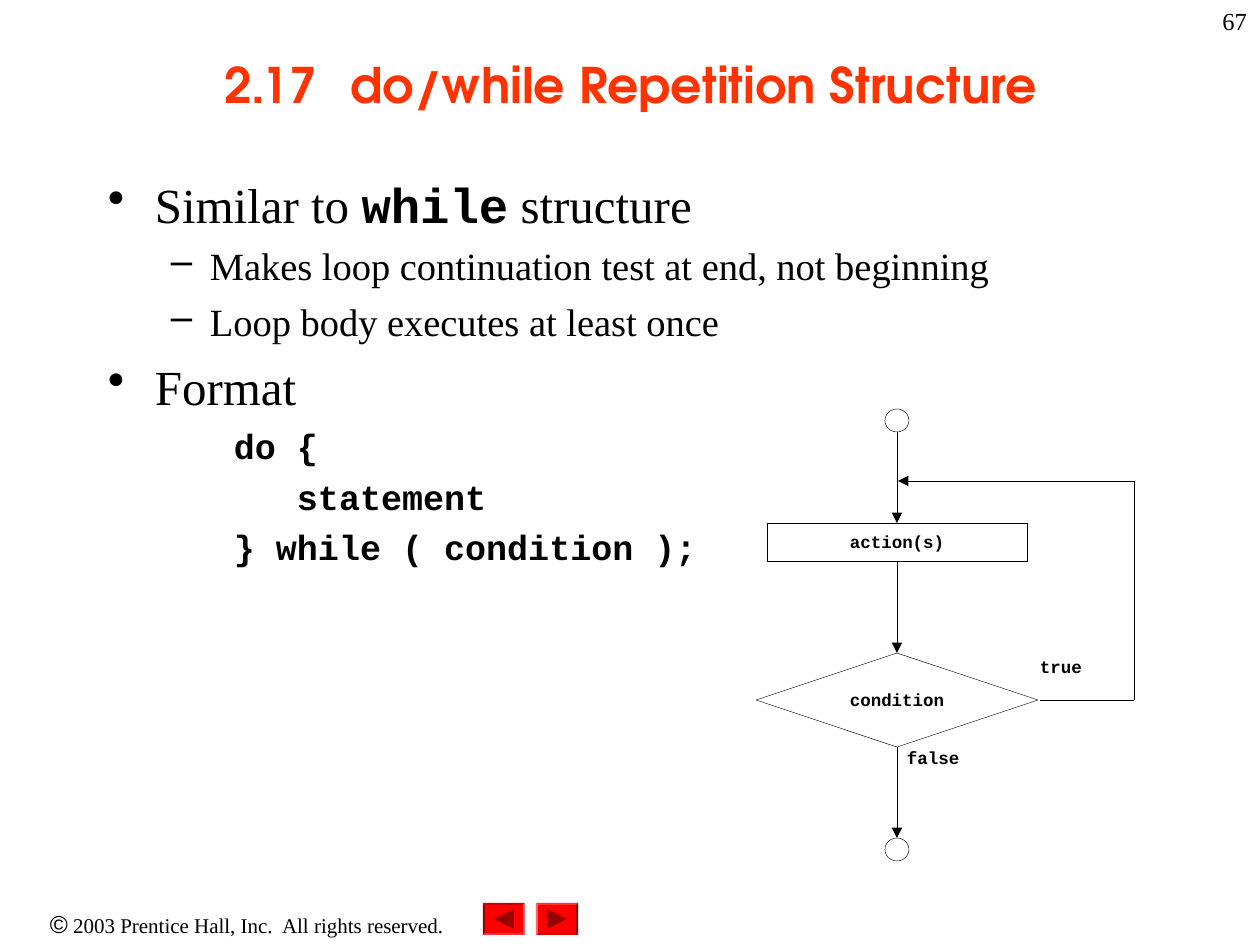
from lxml.etree import SubElement
from pptx import Presentation
from pptx.dml.color import RGBColor
from pptx.enum.shapes import MSO_CONNECTOR, MSO_SHAPE
from pptx.enum.text import MSO_ANCHOR, PP_ALIGN
from pptx.oxml.ns import qn
from pptx.util import Emu, Pt

SCALE = 914400 / 126  # EMU per px
INCH = 914400

BLACK = RGBColor(0x00, 0x00, 0x00)
WHITE = RGBColor(0xFF, 0xFF, 0xFF)
ORANGE = RGBColor(0xFF, 0x33, 0x00)
RED = RGBColor(0xFF, 0x00, 0x00)
DARK_RED = RGBColor(0x99, 0x00, 0x00)

SERIF, MONO, SANS = "Times New Roman", "Courier New", "Arial"
TITLE_FONT = "TeX Gyre Adventor"

# level: (left margin px, indent px, space before pt, bullet)
LEVELS = {
    0: (47, -47, 7, "•"),
    1: (102, -39, 5.5, "–"),
    2: (158, -32, 5, None),
}
BODY = [
    (0, [("Similar to ", 28, SERIF, False), ("while", 28, MONO, True),
         (" structure", 28, SERIF, False)]),
    (1, [("Makes loop continuation test at end, not beginning", 22, SERIF, False)]),
    (1, [("Loop body executes at least once", 22, SERIF, False)]),
    (0, [("Format", 28, SERIF, False)]),
    (2, [("do {", 20, MONO, True)]),
    (2, [("   statement", 20, MONO, True)]),
    (2, [("} while ( condition );", 20, MONO, True)]),
]


def px(n):
    return Emu(round(n * SCALE))


def add_run(p, text, size, font, bold=False, color=BLACK):
    r = p.add_run()
    r.text = text
    r.font.size, r.font.name, r.font.bold = Pt(size), font, bold
    r.font.color.rgb = color


def set_frame(tf, inset_x=0, inset_y=0, anchor=MSO_ANCHOR.TOP):
    tf.word_wrap = True
    tf.margin_left = tf.margin_right = px(inset_x)
    tf.margin_top = tf.margin_bottom = px(inset_y)
    tf.vertical_anchor = anchor


def add_text(s, box, runs, align=PP_ALIGN.LEFT, inset=(13, 6),
             anchor=MSO_ANCHOR.TOP):
    tf = s.shapes.add_textbox(*map(px, box)).text_frame
    set_frame(tf, *inset, anchor)
    p = tf.paragraphs[0]
    p.alignment = align
    for run in runs:
        add_run(p, *run)
    return p


def add_tabs(p, stops):
    tabs = SubElement(p._p.get_or_add_pPr(), qn("a:tabLst"))
    for stop in stops:
        SubElement(tabs, qn("a:tab"), pos=str(stop * INCH), algn="l")


def add_body(s):
    tf = s.shapes.add_textbox(*map(px, (95, 168, 1071, 725))).text_frame
    set_frame(tf, 13, 6)
    for i, (level, runs) in enumerate(BODY):
        p = tf.add_paragraph() if i else tf.paragraphs[0]
        margin, indent, before, bullet = LEVELS[level]
        p.level = level
        p.space_before = Pt(before if i else 0)
        pPr = p._p.get_or_add_pPr()
        pPr.set("marL", str(px(margin)))
        pPr.set("indent", str(px(indent)))
        if bullet:
            SubElement(pPr, qn("a:buChar"), char=bullet)
        else:
            SubElement(pPr, qn("a:buNone"))
        for run in runs:
            add_run(p, *run)


def add_shape(s, kind, box, fill=None, line=None):
    sp = s.shapes.add_shape(kind, *map(px, box))
    sp.shadow.inherit = False
    if fill is None:
        sp.fill.background()
    else:
        sp.fill.solid()
        sp.fill.fore_color.rgb = fill
    if line is None:
        sp.line.fill.background()
    else:
        sp.line.color.rgb = line
        sp.line.width = Pt(0.25)
    return sp


def add_node(s, kind, box, text=None, fill=None):
    sp = add_shape(s, kind, box, fill, BLACK)
    if text:
        tf = sp.text_frame
        set_frame(tf, anchor=MSO_ANCHOR.MIDDLE)
        p = tf.paragraphs[0]
        p.alignment = PP_ALIGN.CENTER
        add_run(p, text, 10, MONO, True)


def add_line(s, x1, y1, x2, y2, arrow=False):
    c = s.shapes.add_connector(MSO_CONNECTOR.STRAIGHT, *map(px, (x1, y1, x2, y2)))
    c.line.color.rgb = BLACK
    c.line.width = Pt(0.25)
    if arrow:
        SubElement(c.line._get_or_add_ln(), qn("a:tailEnd"), type="triangle")
    SubElement(c._element.spPr, qn("a:effectLst"))


def add_button(s, x, y, turn):
    bevel = add_shape(s, MSO_SHAPE.BEVEL, (x, y, 42, 32), RED)
    bevel.adjustments[0] = 0.06
    bevel.rotation = turn
    arrow = add_shape(s, MSO_SHAPE.ISOSCELES_TRIANGLE, (x + 11, y + 6, 20, 20), DARK_RED)
    arrow.rotation = 90 + turn


def add_flowchart(s):
    mid, right, loop_y, test_y = 897, 1134, 481, 700

    # Start and end, action and test
    for top in (409, 838):
        add_node(s, MSO_SHAPE.OVAL, (mid - 12, top, 24, 23))
    add_node(s, MSO_SHAPE.RECTANGLE, (mid - 130, 523, 260, 38), "action(s)")
    add_node(s, MSO_SHAPE.DIAMOND, (mid - 141, 653, 282, 94), "condition", WHITE)

    # Downward flow
    for top, bottom in ((432, 523), (561, 653), (747, 838)):
        add_line(s, mid, top, mid, bottom, arrow=True)

    # Loop back
    add_line(s, 1040, test_y, right, test_y)
    add_line(s, right, test_y, right, loop_y)
    add_line(s, right, loop_y, mid + 1, loop_y, arrow=True)

    # Branch labels
    for label, box in (("true", (1040, 656, 83, 45)), ("false", (907, 747, 102, 45))):
        add_text(s, box, [(label, 10, MONO, True)], inset=(0, 0))


def main():
    prs = Presentation()
    prs.slide_width, prs.slide_height = px(1260), px(945)
    s = prs.slides.add_slide(prs.slide_layouts[6])

    # Footer and navigation
    add_text(s, (0, 903, 494, 43),
             [("©", 14, SANS), (" 2003 Prentice Hall, Inc.  All rights reserved.", 12, SERIF)],
             PP_ALIGN.CENTER)
    add_button(s, 536, 903, 0)
    add_button(s, 483, 903, 180)

    # Title
    title = add_text(s, (95, 10, 1071, 147),
                     [("2.17\tdo/while Repetition Structure", 28, TITLE_FONT, True, ORANGE)],
                     PP_ALIGN.CENTER, anchor=MSO_ANCHOR.MIDDLE)
    add_tabs(title, range(8))

    # Content
    add_body(s)
    add_flowchart(s)

    # Slide number
    add_text(s, (998, 0, 262, 63), [("67", 14, SERIF)], PP_ALIGN.RIGHT)

    prs.save("out.pptx")


if __name__ == "__main__":
    main()
